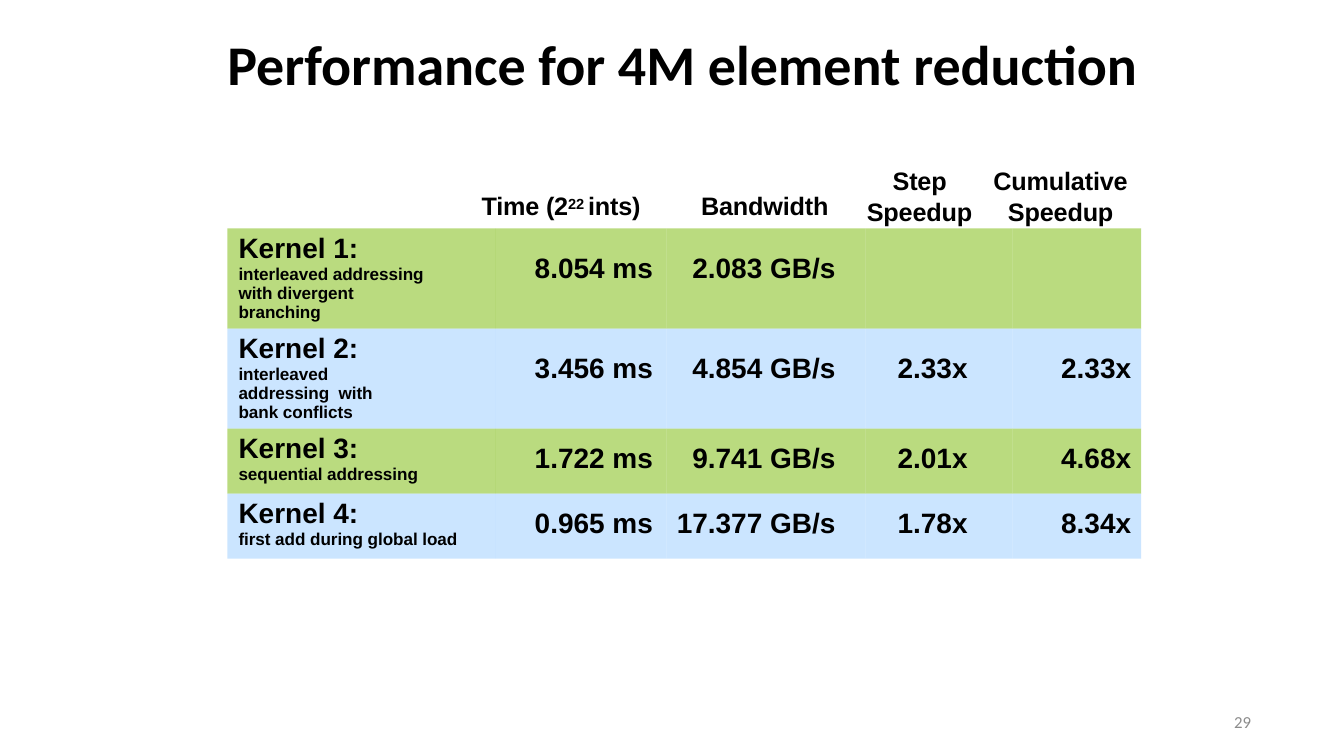
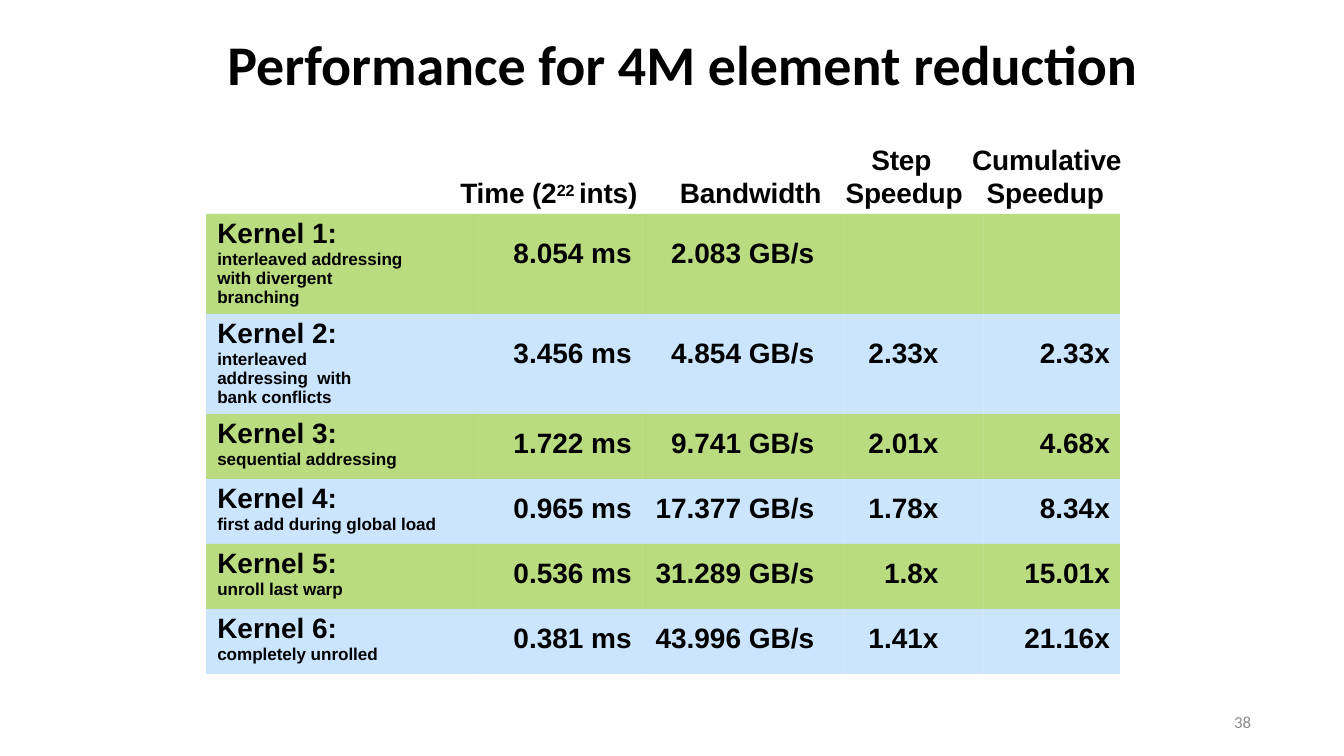
from dataclasses import dataclass

from lxml.etree import SubElement
from pptx import Presentation
from pptx.dml.color import RGBColor
from pptx.enum.text import MSO_ANCHOR as Anchor, PP_ALIGN as Align
from pptx.oxml.ns import qn
from pptx.util import Inches, Pt


@dataclass(frozen=True)
class Theme:
    heading_font: str = "Calibri"
    body_font: str = "Arial"
    text: str = "000000"
    muted: str = "8C8C8C"
    row_fills: tuple = ("76B800", "99CCFF")
    row_opacity: int = 50
    title_size: float = 36
    cell_size: float = 18
    detail_size: float = 11
    number_size: float = 10.8


theme = Theme()
PLAIN_TABLE_STYLE = "{2D5ABB26-0587-4C30-8999-92F81FD0307C}"

# name, description, room kept free right of the description, measured values
kernels = [
    ("Kernel 1:", "interleaved addressing with divergent branching", 0.6,
     ("8.054 ms", "2.083 GB/s", "", "")),
    ("Kernel 2:", "interleaved addressing  with bank conflicts", 0.92,
     ("3.456 ms", "4.854 GB/s", "2.33x", "2.33x")),
    ("Kernel 3:", "sequential addressing", 0.1,
     ("1.722 ms", "9.741 GB/s", "2.01x", "4.68x")),
    ("Kernel 4:", "first add during global load", 0.1,
     ("0.965 ms", "17.377 GB/s", "1.78x", "8.34x")),
    ("Kernel 5:", "unroll last warp", 0.1,
     ("0.536 ms", "31.289 GB/s", "1.8x", "15.01x")),
    ("Kernel 6:", "completely unrolled", 0.1,
     ("0.381 ms", "43.996 GB/s", "1.41x", "21.16x")),
]
value_margins = (0.12, 0.27, 0.4, 0.09)

# runs with baseline shift, offset from table, left margin, first-line indent, two lines
headers = [
    ([("Time (2", 0), ("22 ", 25), ("ints)", 0)], 2.23, 0.04, 0, False),
    ([("Bandwidth", 0)], 4.22, 0.01, 0, False),
    ([("Step Speedup", 0)], 5.7, 0.01, 0.23, True),
    ([("Cumulative Speedup", 0)], 6.83, 0.14, -0.13, True),
]

slides = [
    dict(number="29", kernel_count=4, left=2.03, top=2.04,
         columns=(2.39, 1.53, 1.78, 1.31, 1.15), header_size=16.2,
         header_widths=(1.54, 1.18, 0.98, 1.23),
         one_line=(1.69, 0.29), two_lines=(1.47, 0.56)),
    dict(number="38", kernel_count=6, left=1.84, top=1.91,
         columns=(2.39, 1.53, 1.78, 1.24, 1.22), header_size=18,
         header_widths=(1.83, 1.32, 1.23, 1.5),
         one_line=(1.56, 0.32), two_lines=(1.26, 0.62)),
]


def add_run(paragraph, text, size, font=theme.body_font, color=theme.text,
            bold=True, spacing=0, baseline=0):
    """Add one run; spacing is in points and baseline in percent."""
    run = paragraph.add_run()
    run.text = text
    run.font.name = font
    run.font.size = Pt(size)
    run.font.bold = bold
    run.font.color.rgb = RGBColor.from_string(color)
    properties = run.font._element
    if spacing:
        properties.set("spc", str(round(spacing * 100)))
    if baseline:
        properties.set("baseline", str(baseline * 1000))


def add_text_box(slide, left, top, width, height, inset_top=0.01, anchor=Anchor.TOP):
    """Add a wrapping text box and return its first paragraph."""
    shape = slide.shapes.add_textbox(Inches(left), Inches(top), Inches(width), Inches(height))
    frame = shape.text_frame
    frame.word_wrap = True
    frame.vertical_anchor = anchor
    frame.margin_left = frame.margin_right = frame.margin_bottom = 0
    frame.margin_top = Inches(inset_top)
    return frame.paragraphs[0]


presentation = Presentation()
presentation.slide_width = Inches(12)
presentation.slide_height = Inches(6.75)

for content in slides:
    slide = presentation.slides.add_slide(presentation.slide_layouts[6])

    title = add_text_box(slide, 2.03, 0.32, 9.1, 0.56, anchor=Anchor.MIDDLE)
    title.line_spacing = 0.9
    add_run(title, "Performance for 4M element reduction", theme.title_size,
            theme.heading_font)

    # Results table
    rows = kernels[:content["kernel_count"]]
    row_heights = [0.89 if index < 2 else 0.58 for index in range(len(rows))]
    columns = content["columns"]
    table = slide.shapes.add_table(
        len(rows), len(columns), Inches(content["left"]), Inches(content["top"]),
        Inches(sum(columns)), Inches(sum(row_heights))).table
    table.first_row = table.horz_banding = False
    table._tbl.tblPr.find(qn("a:tableStyleId")).text = PLAIN_TABLE_STYLE
    for column, width in zip(table.columns, columns):
        column.width = Inches(width)

    for index, (name, description, description_margin, values) in enumerate(rows):
        table.rows[index].height = Inches(row_heights[index])
        cells = list(table.rows[index].cells)
        for cell in cells:
            cell.margin_left = cell.margin_right = cell.margin_bottom = 0
            cell.fill.solid()
            cell.fill.fore_color.rgb = RGBColor.from_string(theme.row_fills[index % 2])
            color = cell._tc.tcPr.find(qn("a:solidFill"))[0]
            SubElement(color, qn("a:alpha")).set("val", str(theme.row_opacity * 1000))

        kernel_cell = cells[0]
        kernel_cell.margin_left = Inches(0.1)
        kernel_cell.margin_top = Inches(0.04)
        kernel_cell.margin_right = Inches(description_margin)
        add_run(kernel_cell.text_frame.paragraphs[0], name, theme.cell_size)
        detail = kernel_cell.text_frame.add_paragraph()
        detail.space_before = Pt(0.2)
        add_run(detail, description, theme.detail_size, spacing=-0.05)

        for cell, value, margin in zip(cells[1:], values, value_margins):
            cell.margin_top = Inches(0.22 if index < 2 else 0.13)
            cell.margin_right = Inches(margin)
            if value:
                paragraph = cell.text_frame.paragraphs[0]
                paragraph.alignment = Align.RIGHT
                add_run(paragraph, value, theme.cell_size)

    # Column headers above the table
    for header, width in zip(headers, content["header_widths"]):
        runs, offset, margin, indent, wraps = header
        top, height = content["two_lines" if wraps else "one_line"]
        paragraph = add_text_box(slide, content["left"] + offset, top, width, height)
        properties = paragraph._p.get_or_add_pPr()
        properties.set("marL", str(Inches(margin)))
        properties.set("indent", str(Inches(indent)))
        for text, baseline in runs:
            add_run(paragraph, text, content["header_size"], spacing=-0.1, baseline=baseline)

    page_number = add_text_box(slide, 8.47, 6.26, 2.7, 0.36, 0, Anchor.MIDDLE)
    page_number.alignment = Align.RIGHT
    page_number.line_spacing = Pt(14.2)
    add_run(page_number, content["number"], theme.number_size, theme.heading_font,
            theme.muted, bold=False, spacing=-0.1)

presentation.save("out.pptx")
